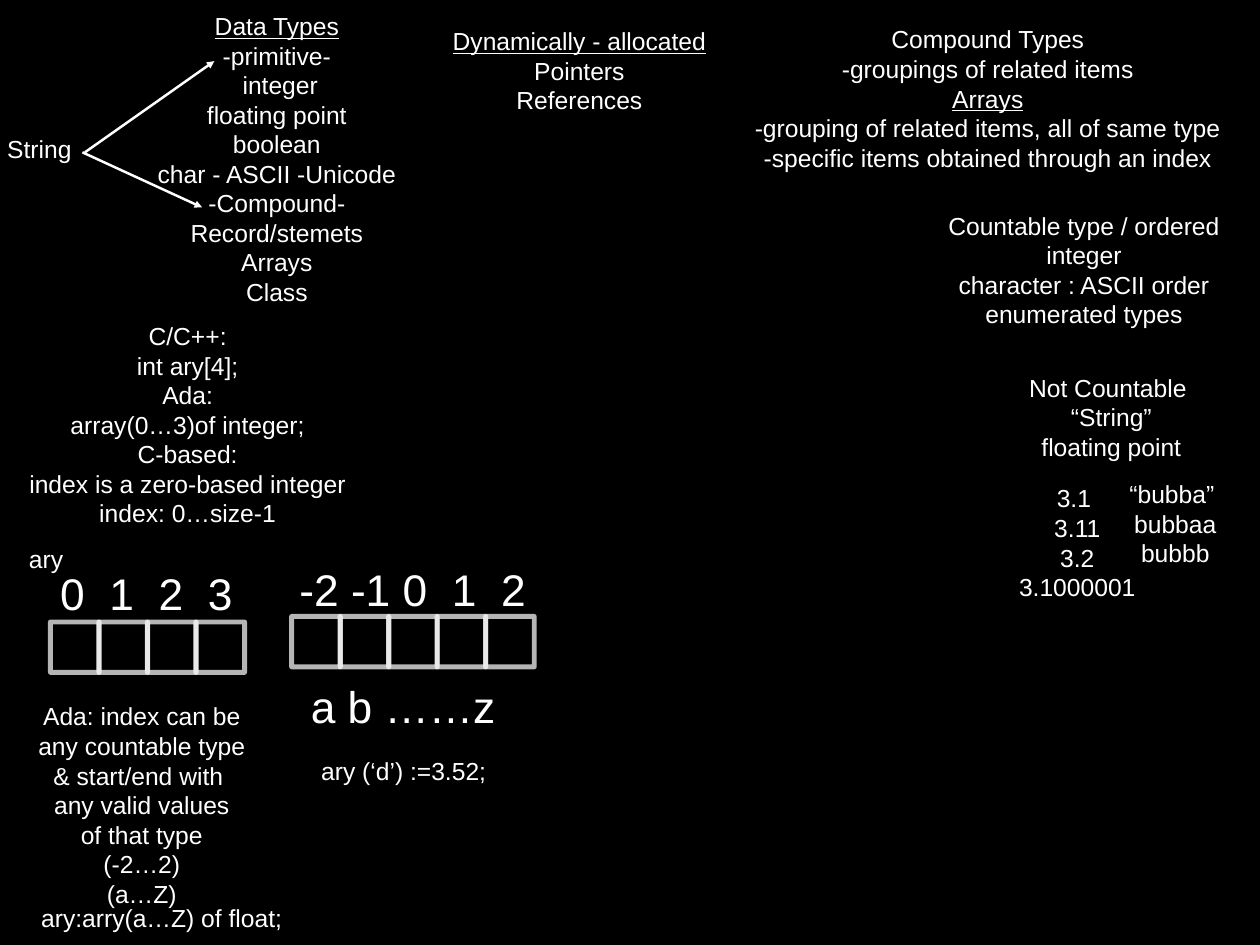
from lxml.etree import SubElement
from pptx import Presentation
from pptx.dml.color import RGBColor
from pptx.enum.shapes import MSO_CONNECTOR, MSO_SHAPE
from pptx.enum.text import MSO_ANCHOR, PP_ALIGN
from pptx.oxml.ns import qn
from pptx.util import Pt

COLORS = {"background": "000000", "foreground": "FFFFFF"}
BODY_SIZE, INDEX_SIZE = 20, 36
INSET = 4.3

# Text blocks: left, top, width, lines, underlined line numbers
NOTES = [
    (119.5, 5, 211, ["Data Types", "-primitive-", " integer", "floating point", "boolean",
                     "char - ASCII -Unicode", "-Compound-", "Record/stemets", "Arrays",
                     "Class"], {0}),
    (1.4, 105, 61.2, ["String"], set()),
    (359.3, 17.3, 223.2, ["Dynamically - allocated", "Pointers", "References"], {0}),
    (604, 15.8, 397.5, ["Compound Types", "-groupings of related items", "Arrays",
                        "-grouping of related items, all of same type",
                        "-specific items obtained through an index"], {2}),
    (15, 257, 275, ["C/C++:", "int ary[4];", "Ada:", "array(0…3)of integer;", "C-based:",
                    "index is a zero-based integer", "index: 0…size-1"], set()),
    (18.7, 437.8, 37.4, ["ary"], set()),
    (22.3, 566, 185.8, ["Ada: index can be", "any countable type", "& start/end with ",
                        "any valid values", "of that type", "(-2…2)", "(a…Z)"], set()),
    (28.8, 729.4, 205.2, ["ary:arry(a…Z) of float;"], set()),
    (255, 610.6, 146.2, ["ary (‘d’) :=3.52;"], set()),
    (761.8, 167, 238.3, ["Countable type / ordered", "integer", "character : ASCII order",
                         "enumerated types"], set()),
    (828.7, 298.8, 149, ["Not Countable ", "“String”", "floating point"], set()),
    (908, 385.2, 94.3, ["“bubba” ", "bubbaa", "bubbb"], set()),
    (823.7, 388.8, 103.7, ["3.1 ", "3.11", "3.2", "3.1000001"], set()),
]
LETTER_RANGE = (247, 548, 161.3, ["a b ……z"], set())

# Arrays: first cell left, top, cell count
ARRAYS = [(41, 505.5, 4), (237, 501, 5)]
CELL_WIDTH, CELL_HEIGHT, CELL_PITCH = 39.6, 41, 39.4

# Index labels: left, top, width, indices, tab stops
INDEX_ROWS = [
    (44.6, 456.5, 153, ["0", "1", "2", "3"], [40, 80, 120]),
    (239, 453, 197, ["-2", "-1", "0", "1", "2"], [42, 84, 124, 164]),
]

# Arrows from String to both groups of types
ARROWS = [((69, 123.8), (174.2, 49.7)), ((67, 123.8), (164.2, 168.5))]


def set_all(target, values):
    for name, value in values.items():
        setattr(target, name, value)


def color(name):
    return RGBColor.from_string(COLORS[name])


def add_text(slide, left, top, width, lines, underlined, size=BODY_SIZE, tabs=()):
    height = 1.2 * size * len(lines) + 8
    box = slide.shapes.add_textbox(Pt(left), Pt(top), Pt(width), Pt(height))
    frame = box.text_frame
    set_all(frame, {"word_wrap": bool(tabs), "vertical_anchor": MSO_ANCHOR.MIDDLE,
                    "margin_left": Pt(INSET), "margin_right": Pt(INSET),
                    "margin_top": Pt(INSET), "margin_bottom": Pt(INSET)})
    for number, line in enumerate(lines):
        paragraph = frame.add_paragraph() if number else frame.paragraphs[0]
        paragraph.alignment = PP_ALIGN.LEFT if tabs else PP_ALIGN.CENTER
        if tabs:
            tab_list = SubElement(paragraph._p.get_or_add_pPr(), qn("a:tabLst"))
            for position in tabs:
                SubElement(tab_list, qn("a:tab"), pos=str(Pt(position)), algn="l")
        run = paragraph.add_run()
        run.text = line
        set_all(run.font, {"name": "Arial", "size": Pt(size), "underline": number in underlined})
        run.font.color.rgb = color("foreground")


def add_cell(slide, left, top):
    cell = slide.shapes.add_shape(MSO_SHAPE.RECTANGLE, Pt(left), Pt(top),
                                  Pt(CELL_WIDTH), Pt(CELL_HEIGHT))
    cell.shadow.inherit = False
    cell.fill.background()
    cell.line.width = Pt(4)
    cell.line.color.rgb = color("foreground")
    line_color = cell.line._ln.find(qn("a:solidFill")).find(qn("a:srgbClr"))
    SubElement(line_color, qn("a:alpha"), val="71000")


def add_arrow(slide, start, end):
    points = [Pt(value) for value in start + end]
    arrow = slide.shapes.add_connector(MSO_CONNECTOR.STRAIGHT, *points)
    arrow.line.width = Pt(2)
    arrow.line.color.rgb = color("foreground")
    SubElement(arrow.line._ln, qn("a:tailEnd"), type="triangle")
    SubElement(arrow._element.spPr, qn("a:effectLst"))


def main():
    presentation = Presentation()
    set_all(presentation, {"slide_width": Pt(1024), "slide_height": Pt(768)})
    slide = presentation.slides.add_slide(presentation.slide_layouts[6])
    slide.background.fill.solid()
    slide.background.fill.fore_color.rgb = color("background")

    # Notes and arrows
    for note in NOTES:
        add_text(slide, *note)
    for start, end in ARROWS:
        add_arrow(slide, start, end)

    # Array cells with their indices
    for left, top, count in ARRAYS:
        for number in range(count):
            add_cell(slide, left + number * CELL_PITCH, top)
    for left, top, width, indices, tabs in INDEX_ROWS:
        add_text(slide, left, top, width, ["\t".join(indices)], set(), INDEX_SIZE, tabs)
    add_text(slide, *LETTER_RANGE, size=INDEX_SIZE)

    presentation.save("out.pptx")


if __name__ == "__main__":
    main()
